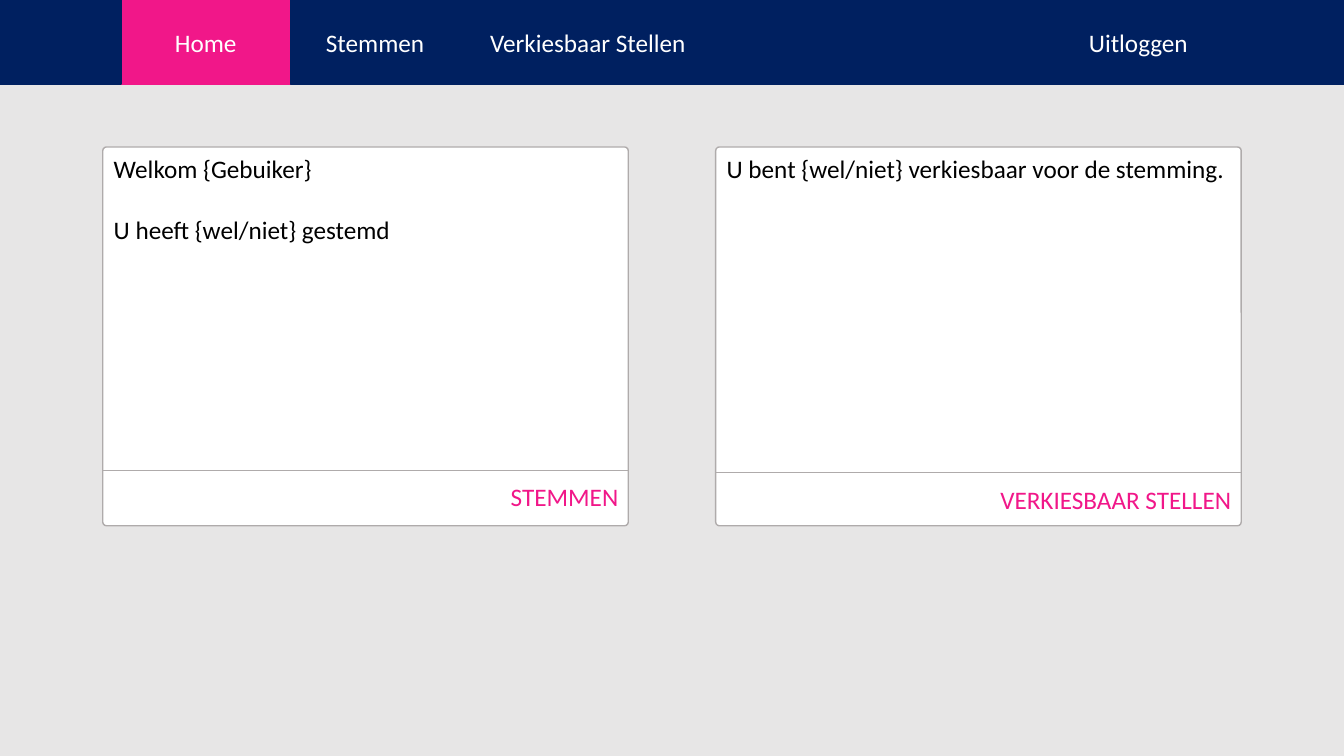
from dataclasses import dataclass

from lxml import etree
from pptx import Presentation
from pptx.dml.color import RGBColor
from pptx.enum import shapes, text
from pptx.oxml import ns
from pptx.util import Pt

COLORS = {
    "page": "E7E6E6",
    "navy": "002060",
    "pink": "F11789",
    "white": "FFFFFF",
    "border": "AFABAB",
    "black": "000000",
}
SLIDE_WIDTH, SLIDE_HEIGHT = 960, 540
NAV_HEIGHT = 60
NAV_MARGIN = 86.4
CARD_TOP, CARD_WIDTH, CARD_HEIGHT = 105, 375.4, 270.6
ACTION_HEIGHT = 41
EMPTY_LINE = 22


@dataclass
class NavItem:
    left: float
    width: float
    label: str = ""
    color: str = "navy"


@dataclass
class Card:
    left: float
    messages: list[str]
    action: str
    action_width: float
    action_top: float
    divider_top: float


NAV_ITEMS = [
    NavItem(NAV_MARGIN, 121, "Home", "pink"),
    NavItem(207.4, 121, "Stemmen"),
    NavItem(328.4, 183, "Verkiesbaar Stellen"),
    NavItem(0, NAV_MARGIN),
    NavItem(SLIDE_WIDTH - NAV_MARGIN, NAV_MARGIN),
    NavItem(SLIDE_WIDTH - NAV_MARGIN - 121, 121, "Uitloggen"),
]
CARDS = [
    Card(73.4, ["Welkom {Gebuiker}", "U heeft {wel/niet} gestemd"],
         "STEMMEN", 117.4, 334.4, 336),
    Card(511.2, ["U bent {wel/niet} verkiesbaar voor de stemming."],
         "VERKIESBAAR STELLEN", 214.6, 336.4, 337.4),
]


def rgb(color: str) -> RGBColor:
    return RGBColor.from_string(COLORS[color])


def add_box(slide, left: float, top: float, width: float, height: float,
            fill: str, line: str, kind=shapes.MSO_SHAPE.RECTANGLE):
    box = slide.shapes.add_shape(kind, Pt(left), Pt(top), Pt(width), Pt(height))
    box.shadow.inherit = False
    box.fill.solid()
    box.fill.fore_color.rgb = rgb(fill)
    box.line.color.rgb = rgb(line)
    box.line.width = Pt(1)
    return box


def write(shape, lines: list[str], color: str, align, anchor) -> None:
    """Fill a shape with paragraphs set one empty line apart."""
    frame = shape.text_frame
    frame.word_wrap = True
    frame.vertical_anchor = anchor
    frame.text = "\n".join(lines)
    for index, paragraph in enumerate(frame.paragraphs):
        paragraph.alignment = align
        paragraph.space_before = Pt(EMPTY_LINE if index else 0)
        paragraph.font.name = "Calibri"
        paragraph.font.size = Pt(18)
        paragraph.font.color.rgb = rgb(color)


def add_nav_item(slide, item: NavItem) -> None:
    tab = add_box(slide, item.left, 0, item.width, NAV_HEIGHT, item.color, item.color)
    if item.label:
        write(tab, [item.label], "white", text.PP_ALIGN.CENTER, text.MSO_ANCHOR.MIDDLE)


def add_card(slide, card: Card) -> None:
    right = card.left + CARD_WIDTH
    panel = add_box(slide, card.left, CARD_TOP, CARD_WIDTH, CARD_HEIGHT,
                    "white", "border", shapes.MSO_SHAPE.ROUNDED_RECTANGLE)
    panel.adjustments[0] = 0.01
    write(panel, card.messages, "black", text.PP_ALIGN.LEFT, text.MSO_ANCHOR.TOP)

    action = slide.shapes.add_textbox(Pt(right - card.action_width), Pt(card.action_top),
                                      Pt(card.action_width), Pt(ACTION_HEIGHT))
    write(action, [card.action], "pink", text.PP_ALIGN.RIGHT, text.MSO_ANCHOR.MIDDLE)

    divider = slide.shapes.add_connector(
        shapes.MSO_CONNECTOR.STRAIGHT,
        Pt(right), Pt(card.divider_top), Pt(card.left), Pt(card.divider_top))
    divider.line.color.rgb = rgb("border")
    divider.line.width = Pt(0.5)
    etree.SubElement(divider.element.spPr, ns.qn("a:effectLst"))


def main() -> None:
    presentation = Presentation()
    presentation.slide_width = Pt(SLIDE_WIDTH)
    presentation.slide_height = Pt(SLIDE_HEIGHT)
    slide = presentation.slides.add_slide(presentation.slide_layouts[6])

    add_box(slide, 0, 0, SLIDE_WIDTH, SLIDE_HEIGHT, "page", "page")
    add_box(slide, 0, 0, SLIDE_WIDTH, NAV_HEIGHT, "navy", "navy")
    for item in NAV_ITEMS:
        add_nav_item(slide, item)
    for card in CARDS:
        add_card(slide, card)
    presentation.save("out.pptx")


if __name__ == "__main__":
    main()
